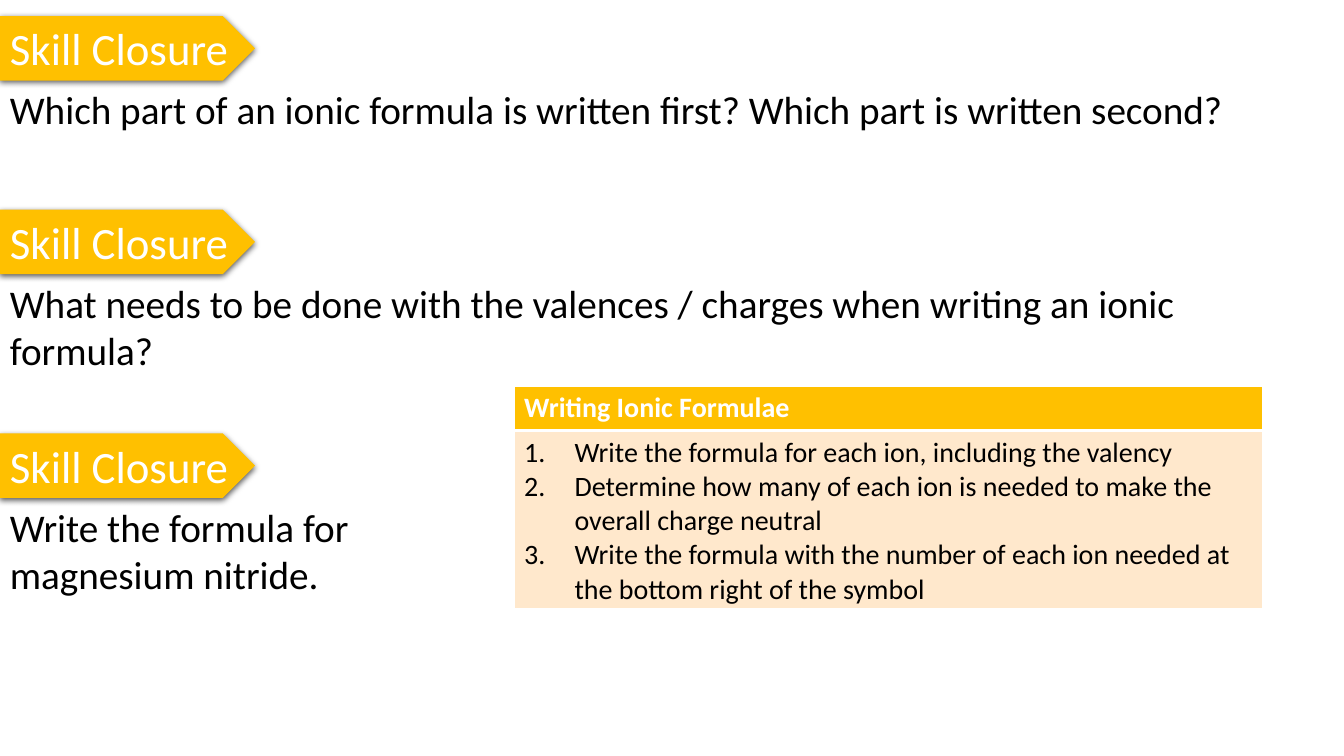
from dataclasses import dataclass

from lxml import etree
from pptx import Presentation, util as u
from pptx.dml.color import RGBColor
from pptx.enum import shapes, text
from pptx.oxml import ns


@dataclass(frozen=True)
class Theme:
    font: str = "Calibri"
    accent: str = "FFC000"
    tint: str = "FFE8CC"
    light: str = "FFFFFF"
    dark: str = "000000"
    label_size: int = 32
    question_size: int = 28
    table_size: int = 20
    thin_line: int = 1
    thick_line: int = 3


def add_element(parent, tag, **attributes):
    values = {name: str(value) for name, value in attributes.items()}
    return etree.SubElement(parent, ns.qn(tag), values)


class LessonSlide:
    CELL = 0.1
    COLUMNS = 133.33
    ROWS = 75
    TAG_WIDTH = 25.3
    TAG_HEIGHT = 6.4

    def __init__(self, deck, theme):
        self.theme = theme
        deck.slide_width = self.length(self.COLUMNS)
        deck.slide_height = self.length(self.ROWS)
        self.page = deck.slides.add_slide(deck.slide_layouts[6])

    def length(self, cells):
        return u.Inches(cells * self.CELL)

    def area(self, column, row, width, height):
        return [self.length(cells) for cells in (column, row, width, height)]

    def style(self, para, size, color, bold=False):
        para.font.name = self.theme.font
        para.font.size = u.Pt(size)
        para.font.bold = bold
        para.font.color.rgb = RGBColor.from_string(color)

    def fill(self, item, color):
        item.fill.solid()
        item.fill.fore_color.rgb = RGBColor.from_string(color)

    def tag(self, row, label):
        shape = self.page.shapes.add_shape(
            shapes.MSO_SHAPE.PENTAGON,
            *self.area(0, row, self.TAG_WIDTH, self.TAG_HEIGHT))
        self.fill(shape, self.theme.accent)
        shape.line.fill.background()
        shape.shadow.inherit = False
        effects = shape.element.spPr.find(ns.qn("a:effectLst"))
        shadow = add_element(effects, "a:outerShdw", blurRad=u.Pt(4.5),
                             dist=u.Pt(1.5), dir=5400000, rotWithShape=0)
        color = add_element(shadow, "a:srgbClr", val=self.theme.dark)
        add_element(color, "a:alpha", val=63000)
        frame = shape.text_frame
        frame.word_wrap = False
        frame.vertical_anchor = text.MSO_ANCHOR.TOP
        frame.auto_size = text.MSO_AUTO_SIZE.SHAPE_TO_FIT_TEXT
        para = frame.paragraphs[0]
        para.text = label
        para.alignment = text.PP_ALIGN.LEFT
        self.style(para, self.theme.label_size, self.theme.light)

    def question(self, row, width, height, wording):
        box = self.page.shapes.add_textbox(*self.area(0, row, width, height))
        box.text_frame.word_wrap = True
        box.text_frame.auto_size = text.MSO_AUTO_SIZE.SHAPE_TO_FIT_TEXT
        para = box.text_frame.paragraphs[0]
        para.text = wording
        self.style(para, self.theme.question_size, self.theme.dark)

    def closure(self, row, width, height, wording):
        self.tag(row, "Skill Closure")
        self.question(row + self.TAG_HEIGHT, width, height, wording)

    def borders(self, cell, top, bottom):
        properties = cell._tc.get_or_add_tcPr()
        thin = self.theme.thin_line
        for side, width in zip("LRTB", (thin, thin, top, bottom)):
            line = add_element(properties, f"a:ln{side}", w=u.Pt(width))
            paint = add_element(line, "a:solidFill")
            add_element(paint, "a:srgbClr", val=self.theme.light)

    def number(self, para):
        properties = para._p.get_or_add_pPr()
        properties.set("marL", str(u.Inches(0.5)))
        properties.set("indent", str(-u.Inches(0.5)))
        add_element(properties, "a:buFont", typeface="+mj-lt")
        add_element(properties, "a:buAutoNum", type="arabicPeriod")

    def steps_table(self, column, row, width, heights, title, steps):
        theme = self.theme
        table = self.page.shapes.add_table(
            2, 1, *self.area(column, row, width, sum(heights))).table
        table.horz_banding = False
        for line, height in zip(table.rows, heights):
            line.height = self.length(height)
        header, body = table.cell(0, 0), table.cell(1, 0)
        self.borders(header, theme.thin_line, theme.thick_line)
        self.borders(body, theme.thick_line, theme.thin_line)
        self.fill(header, theme.accent)
        self.fill(body, theme.tint)
        header.text = title
        self.style(header.text_frame.paragraphs[0], theme.table_size,
                   theme.light, bold=True)
        body.text = "\n".join(steps)
        for para in body.text_frame.paragraphs:
            self.number(para)
            self.style(para, theme.table_size, theme.dark)


def main():
    deck = Presentation()
    lesson = LessonSlide(deck, Theme())
    closures = [
        (1.6, 130.5, 5.7, "Which part of an ionic formula is written first? "
                          "Which part is written second?"),
        (20.8, 125.2, 10.4, "What needs to be done with the valences / charges "
                            "when writing an ionic formula?"),
        (43, 50.6, 10.4, "Write the formula for magnesium nitride."),
    ]
    for closure in closures:
        lesson.closure(*closure)
    lesson.steps_table(51, 38.3, 74.3, (4.4, 17.7), "Writing Ionic Formulae", [
        "Write the formula for each ion, including the valency",
        "Determine how many of each ion is needed to make the overall "
        "charge neutral",
        "Write the formula with the number of each ion needed at the bottom "
        "right of the symbol",
    ])
    deck.save("out.pptx")


if __name__ == "__main__":
    main()
